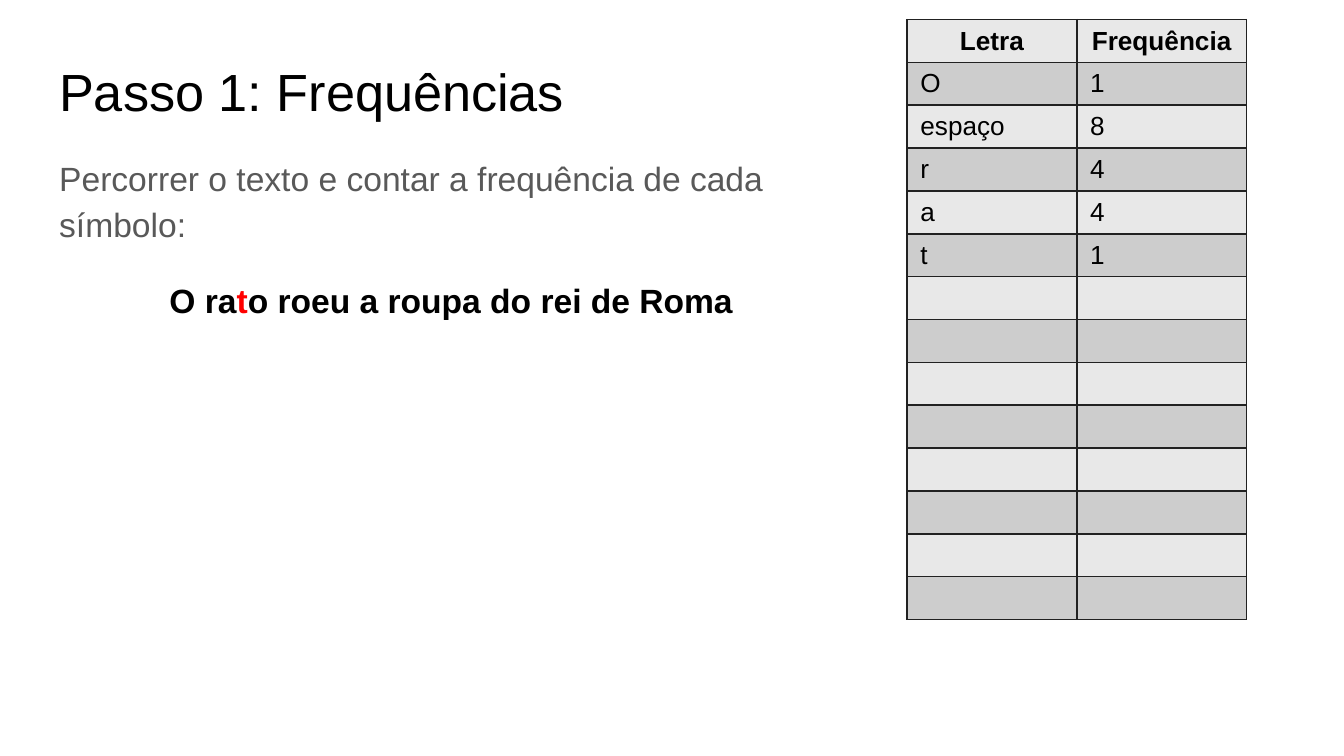
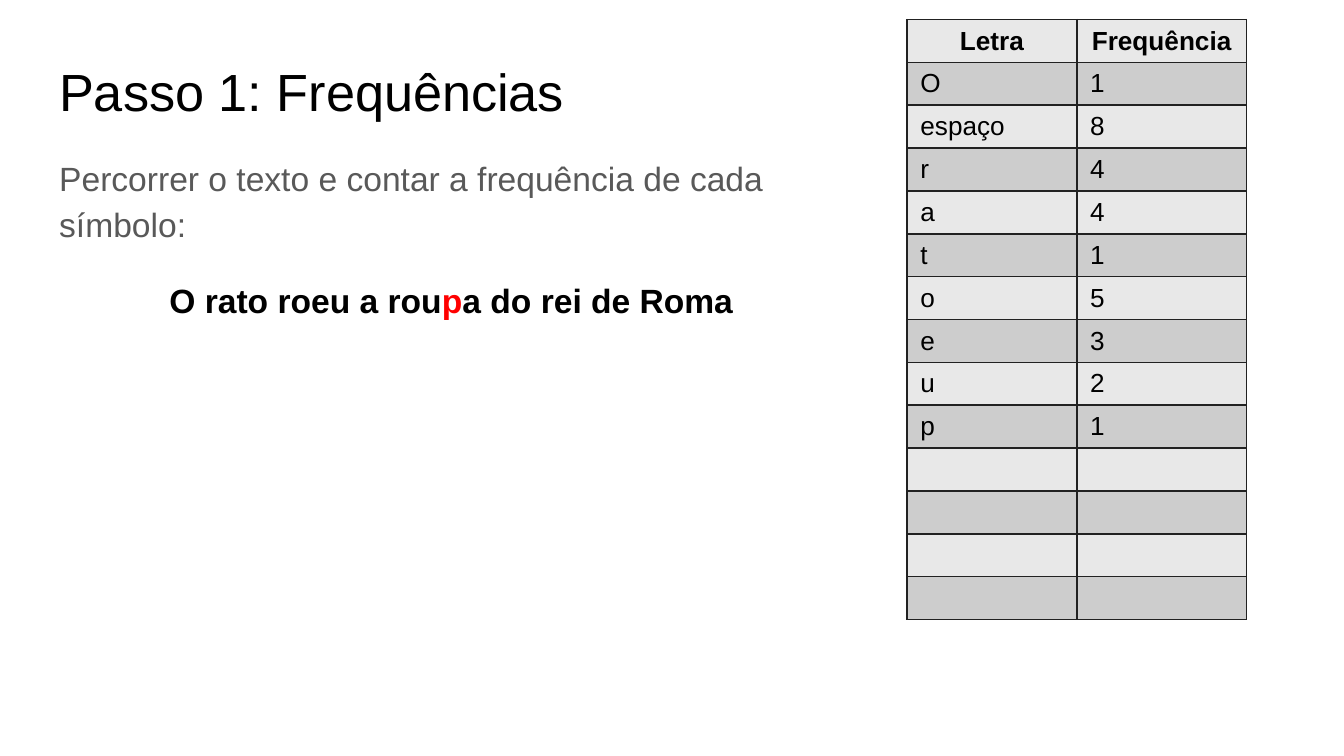
from lxml.etree import SubElement
from pptx import Presentation
from pptx.dml.color import RGBColor
from pptx.enum.text import MSO_ANCHOR, PP_ALIGN
from pptx.oxml.ns import qn
from pptx.util import Cm, Pt

BLACK, GREY, RED = "000000", "595959", "FF0000"
LIGHT, DARK, BORDER = "E8E8E8", "CDCDCD", "212121"
PHRASE = "O rato roeu a roupa do rei de Roma"
HEADER = ("Letra", "Frequência")
COUNTS = [("O", 1), ("espaço", 8), ("r", 4), ("a", 4), ("t", 1),
          ("o", 5), ("e", 3), ("u", 2), ("p", 1)]
STEPS = [("t", 5), ("p", 9)]
ROWS = 14
ROW_H, COL_W = 0.81, 3.21


def style(r, size, color, bold=False):
    r.font.name = "Arial"
    r.font.size = Pt(size)
    r.font.bold = bold
    r.font.color.rgb = RGBColor.from_string(color)


def add_text(s, left, top, width, height):
    tf = s.shapes.add_textbox(Cm(left), Cm(top), Cm(width), Cm(height)).text_frame
    tf.word_wrap = True
    tf.margin_left = tf.margin_right = tf.margin_top = tf.margin_bottom = Cm(0.25)
    return tf


prs = Presentation()
prs.slide_width, prs.slide_height = Cm(25.4), Cm(14.29)

for letter, shown in STEPS:
    s = prs.slides.add_slide(prs.slide_layouts[6])

    tf = add_text(s, 0.87, 0.87, 23.67, 1.6)
    tf.text = "Passo 1: Frequências"
    style(tf.paragraphs[0].runs[0], 28, BLACK)

    tf = add_text(s, 0.87, 2.62, 15.32, 11.66)
    tf.text = "Percorrer o texto e contar a frequência de cada símbolo:"
    style(tf.paragraphs[0].runs[0], 18, GREY)
    p = tf.add_paragraph()
    p.alignment = PP_ALIGN.CENTER
    p.space_before = Pt(16)
    for part in PHRASE.partition(letter):
        r = p.add_run()
        r.text = part
        style(r, 18, RED if part == letter else BLACK, True)
    for p in tf.paragraphs:
        p.line_spacing = 1.15

    table = s.shapes.add_table(ROWS, 2, Cm(17.14), Cm(0.37),
                               Cm(2 * COL_W), Cm(ROWS * ROW_H)).table
    for col in table.columns:
        col.width = Cm(COL_W)
    data = [HEADER] + COUNTS[:shown]
    for i, row in enumerate(table.rows):
        row.height = Cm(ROW_H)
        for j, cell in enumerate(row.cells):
            cell.margin_top = cell.margin_bottom = 0
            cell.vertical_anchor = MSO_ANCHOR.MIDDLE
            if i < len(data):
                p = cell.text_frame.paragraphs[0]
                p.text = str(data[i][j])
                p.alignment = PP_ALIGN.LEFT if i else PP_ALIGN.CENTER
                style(p.runs[0], 14, BLACK, i == 0)
            tcPr = cell._tc.get_or_add_tcPr()
            for side in ("a:lnL", "a:lnR", "a:lnT", "a:lnB"):
                ln = SubElement(tcPr, qn(side), w=str(Pt(1)))
                fill = SubElement(ln, qn("a:solidFill"))
                SubElement(fill, qn("a:srgbClr"), val=BORDER)
            cell.fill.solid()
            cell.fill.fore_color.rgb = RGBColor.from_string(DARK if i % 2 else LIGHT)

prs.save("out.pptx")
